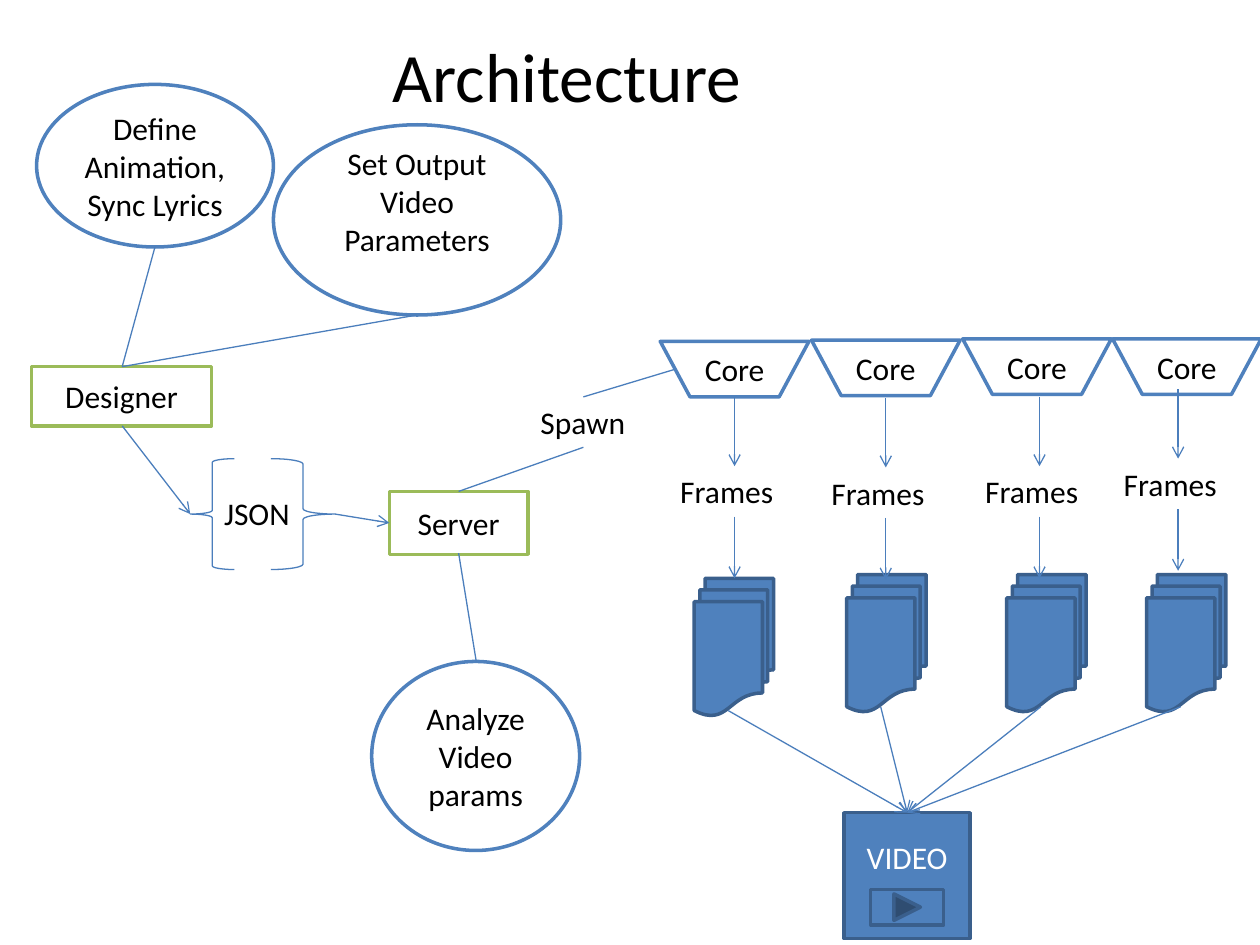
from lxml import etree
from pptx import Presentation
from pptx.dml.color import RGBColor
from pptx.enum.shapes import MSO_CONNECTOR, MSO_SHAPE
from pptx.enum.text import MSO_ANCHOR, PP_ALIGN
from pptx.oxml.ns import qn
from pptx.util import Inches, Pt

RECTANGLE, OVAL = MSO_SHAPE.RECTANGLE, MSO_SHAPE.OVAL
CORE, STACK = MSO_SHAPE.FLOWCHART_MANUAL_OPERATION, MSO_SHAPE.FLOWCHART_MULTIDOCUMENT
PLAY = MSO_SHAPE.ACTION_BUTTON_FORWARD_OR_NEXT
LEFT_BRACE, RIGHT_BRACE = MSO_SHAPE.LEFT_BRACE, MSO_SHAPE.RIGHT_BRACE
STRAIGHT = MSO_CONNECTOR.STRAIGHT
CENTER, LEFT = PP_ALIGN.CENTER, PP_ALIGN.LEFT
TOP, MIDDLE = MSO_ANCHOR.TOP, MSO_ANCHOR.MIDDLE

BLACK, WHITE = "000000", "FFFFFF"
BLUE, GREEN, NAVY, LINK = "4F81BD", "9BBB59", "3A5F8C", "4B7EBC"

# Content: kind, box, outline, text, bottom inset
NODES = [
    (RECTANGLE, (0.25, 2.91, 1.43, 0.47), GREEN, "Designer", 0.05),
    (OVAL, (0.29, 0.67, 1.88, 1.29), BLUE, "Define Animation, Sync Lyrics", 0.05),
    (OVAL, (2.17, 0.99, 2.28, 1.51), BLUE, "Set Output Video Parameters", 0.35),
    (RECTANGLE, (3.09, 3.9, 1.1, 0.5), GREEN, "Server", 0.05),
    (OVAL, (2.95, 5.25, 1.65, 1.5), BLUE, "Analyze Video params", 0.05),
]
BRACES = [(LEFT_BRACE, (1.51, 3.64, 0.35, 0.88)),
          (RIGHT_BRACE, (2.15, 3.64, 0.51, 0.88))]
# Start, end, arrowhead
LINKS = [
    ((0.97, 3.38), (1.51, 4.08), True),
    ((1.23, 1.96), (0.97, 2.91), False),
    ((3.31, 2.5), (0.97, 2.91), False),
    ((2.66, 4.08), (3.09, 4.15), True),
    ((3.78, 5.25), (3.64, 4.39), False),
    ((3.64, 3.9), (4.63, 3.55), False),
    ((4.63, 3.15), (5.36, 2.93), False),
]
# Core corner, centre and top of the frames label, stack corner
LANES = [
    ((5.24, 2.71), (5.83, 3.7), (5.51, 4.59)),
    ((6.44, 2.7), (7.03, 3.71), (6.72, 4.56)),
    ((7.64, 2.69), (8.25, 3.7), (7.99, 4.56)),
    ((8.83, 2.69), (9.35, 3.64), (9.1, 4.56)),
]
VIDEO_BOX = (6.7, 6.45, 1, 1)
VIDEO_ENTRY = (7.2, 6.45)

deck = Presentation()
deck.slide_width, deck.slide_height = Inches(10), Inches(7.5)
page = deck.slides.add_slide(deck.slide_layouts[6])


def color(value):
    return RGBColor.from_string(value)


def write(shape, text, size=18, ink=BLACK, align=CENTER, anchor=MIDDLE,
          wrap=True, bottom=0.05):
    frame = shape.text_frame
    frame.word_wrap = wrap
    frame.vertical_anchor = anchor
    frame.margin_bottom = Inches(bottom)
    para = frame.paragraphs[0]
    para.alignment = align
    span = para.add_run()
    span.text = text
    span.font.name, span.font.size = "Calibri", Pt(size)
    span.font.color.rgb = color(ink)


def label(box, text, **style):
    write(page.shapes.add_textbox(*map(Inches, box)), text, **style)


def draw(kind, box, outline, fill=None, weight=2):
    shape = page.shapes.add_shape(kind, *map(Inches, box))
    shape.shadow.inherit = False
    if fill:
        shape.fill.solid()
        shape.fill.fore_color.rgb = color(fill)
    else:
        shape.fill.background()
    shape.line.color.rgb = color(outline)
    shape.line.width = Pt(weight)
    return shape


def connect(start, end, arrow=True):
    link = page.shapes.add_connector(STRAIGHT, *map(Inches, start + end))
    link.line.color.rgb = color(LINK)
    link.line.width = Pt(0.75)
    if arrow:
        etree.SubElement(link.line._get_or_add_ln(), qn("a:tailEnd"), type="arrow")
    etree.SubElement(link._element.spPr, qn("a:effectLst"))


# Title
label((0, 0.3, 9, 1.25), "Architecture", size=39.6, bottom=0.71)

# Designer and server side
for kind, box, outline, text, bottom in NODES:
    write(draw(kind, box, outline, WHITE), text, bottom=bottom)
for kind, box in BRACES:
    draw(kind, box, LINK, weight=0.75)
label((1.68, 3.87, 0.8, 0.4), "JSON", align=LEFT, anchor=TOP)
label((4.19, 3.15, 0.88, 0.4), "Spawn", align=LEFT, anchor=TOP, wrap=False)
for start, end, arrow in LINKS:
    connect(start, end, arrow)

# Video output
write(draw(RECTANGLE, VIDEO_BOX, NAVY, BLUE), "VIDEO", ink=WHITE, bottom=0.35)
draw(PLAY, (6.91, 7.06, 0.58, 0.28), NAVY, BLUE)

# Rendering lanes: core, frames, stack of frames, video
for core, (middle, top), stack in LANES:
    write(draw(CORE, core + (1.18, 0.44), BLUE, WHITE), "Core")
    draw(STACK, stack + (0.63, 1.09), NAVY, BLUE)
    label((middle - 0.53, top, 1.06, 0.4), "Frames", align=LEFT, anchor=TOP)
    connect((middle, top - 0.55), (middle, top))
    connect((middle, top + 0.4), (middle, top + 0.89))
    connect((stack[0] + 0.27, stack[1] + 1.05), VIDEO_ENTRY)

deck.save("out.pptx")
